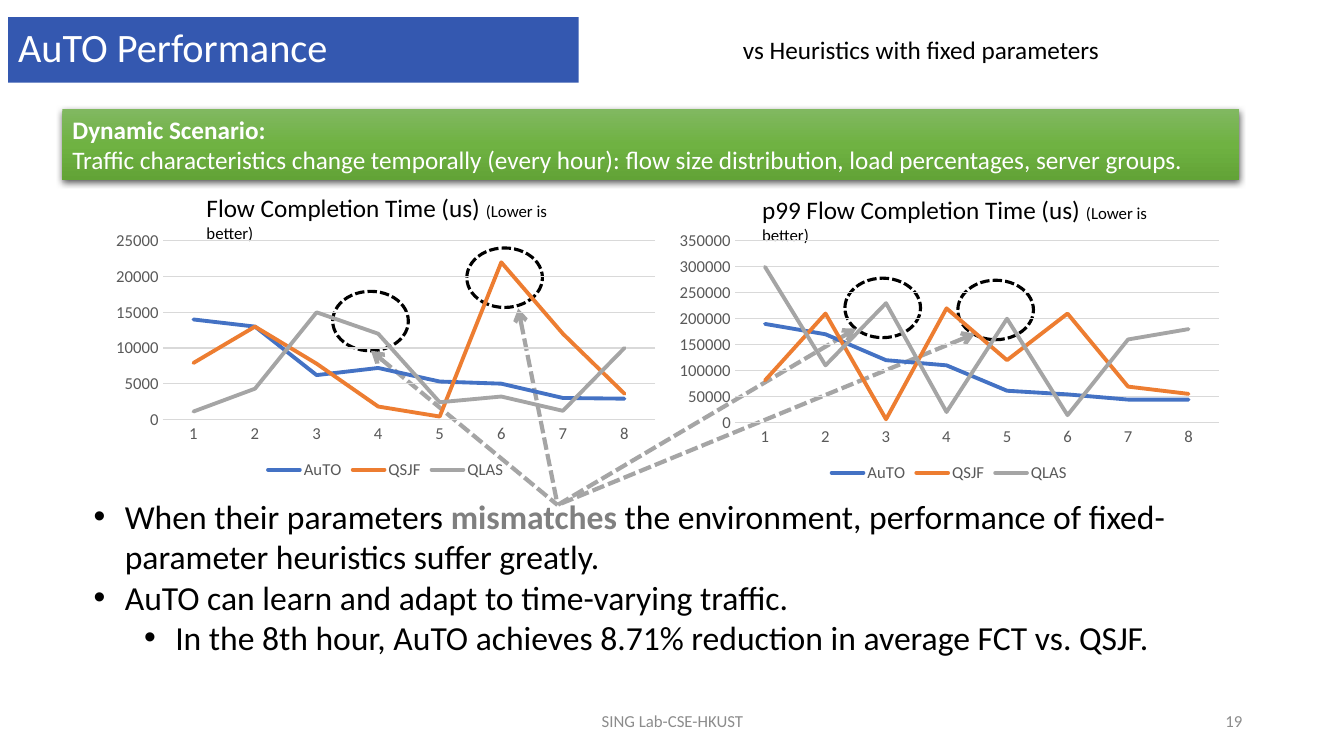
from copy import deepcopy
from lxml.etree import SubElement
from pptx import Presentation
from pptx.chart.data import CategoryChartData
from pptx.dml.color import RGBColor
from pptx.enum.chart import XL_CHART_TYPE, XL_LEGEND_POSITION, XL_TICK_MARK
from pptx.enum.dml import MSO_LINE
from pptx.enum.shapes import MSO_CONNECTOR, MSO_SHAPE
from pptx.enum.text import MSO_ANCHOR, MSO_AUTO_SIZE, PP_ALIGN
from pptx.oxml.ns import qn
from pptx.util import Inches, Pt

WHITE = RGBColor(0xFF, 0xFF, 0xFF)
BLACK = RGBColor(0x00, 0x00, 0x00)
TITLE_BLUE = RGBColor(0x34, 0x58, 0xB0)
FOOTER_GRAY = RGBColor(0x8C, 0x8C, 0x8C)
EMPHASIS_GRAY = RGBColor(0x80, 0x80, 0x80)
AXIS_TEXT = RGBColor(0x59, 0x59, 0x59)
GRID_GRAY = RGBColor(0xD9, 0xD9, 0xD9)
ARROW_GRAY = RGBColor(0xA5, 0xA5, 0xA5)
GREEN_TOP = RGBColor(0x81, 0xB8, 0x61)
GREEN_MIDDLE = RGBColor(0x6F, 0xB2, 0x42)
GREEN_BOTTOM = RGBColor(0x62, 0xA3, 0x36)
SERIES_COLORS = {
    "AuTO": RGBColor(0x44, 0x72, 0xC4),
    "QSJF": RGBColor(0xED, 0x7D, 0x31),
    "QLAS": ARROW_GRAY,
}

prs = Presentation()
prs.slide_width, prs.slide_height = Inches(13.33), Inches(7.5)
slide = prs.slides.add_slide(prs.slide_layouts[5])
shapes = slide.shapes


def add_run(paragraph, text, size, color, bold=False):
    run = paragraph.add_run()
    run.text = text
    run.font.name = "Calibri"
    run.font.size = Pt(size)
    run.font.bold = bold
    run.font.color.rgb = color


def add_text_frame(left, top, width, height):
    frame = shapes.add_textbox(Inches(left), Inches(top), Inches(width), Inches(height)).text_frame
    frame.word_wrap = True
    return frame


# Title
title = shapes.title
title.left, title.top, title.width, title.height = Inches(0.08), Inches(0.17), Inches(5.66), Inches(0.65)
title.fill.solid()
title.fill.fore_color.rgb = TITLE_BLUE
title.text_frame.vertical_anchor = MSO_ANCHOR.MIDDLE
title.text_frame.auto_size = MSO_AUTO_SIZE.NONE
heading = title.text_frame.paragraphs[0]
heading.alignment = PP_ALIGN.LEFT
heading.line_spacing = 0.9
add_run(heading, "AuTO Performance", 28.8, WHITE)

# Footer and page number
for left, width, text, alignment in [
    (4.42, 4.5, "SING Lab-CSE-HKUST", PP_ALIGN.CENTER),
    (9.42, 3, "19", PP_ALIGN.RIGHT),
]:
    footer = add_text_frame(left, 6.95, width, 0.4)
    footer.vertical_anchor = MSO_ANCHOR.MIDDLE
    footer.paragraphs[0].alignment = alignment
    add_run(footer.paragraphs[0], text, 12, FOOTER_GRAY)

# Scenario banner: three-stop green gradient with a soft shadow below
banner = shapes.add_shape(MSO_SHAPE.RECTANGLE, Inches(0.62), Inches(1.08), Inches(11.67), Inches(0.71))
banner.fill.gradient()
banner.fill.gradient_angle = 270
first_stop = banner.fill.gradient_stops[0]._gs
first_stop.addnext(deepcopy(first_stop))
for stop, position, color in zip(
    banner.fill.gradient_stops, (0, 0.5, 1), (GREEN_TOP, GREEN_MIDDLE, GREEN_BOTTOM)
):
    stop.position = position
    stop.color.rgb = color
banner.line.fill.background()
banner.shadow.inherit = False
effects = banner._element.spPr.find(qn("a:effectLst"))
shadow = SubElement(effects, qn("a:outerShdw"), blurRad="57150", dist="19050", dir="5400000", rotWithShape="0")
shadow_color = SubElement(shadow, qn("a:srgbClr"), val="000000")
SubElement(shadow_color, qn("a:alpha"), val="63000")
scenario = banner.text_frame
scenario.word_wrap = True
scenario.vertical_anchor = MSO_ANCHOR.TOP
scenario_name, scenario_detail = scenario.paragraphs[0], scenario.add_paragraph()
add_run(scenario_name, "Dynamic Scenario:", 18, WHITE, bold=True)
add_run(
    scenario_detail,
    "Traffic characteristics change temporally (every hour): "
    "flow size distribution, load percentages, server groups.",
    18, WHITE,
)
for paragraph in scenario.paragraphs:
    paragraph.alignment = PP_ALIGN.LEFT

# Findings
findings = add_text_frame(0.83, 4.87, 11.68, 1.72)
for index, (level, runs) in enumerate([
    (0, [
        ("When their parameters ", BLACK, False),
        ("mismatches", EMPHASIS_GRAY, True),
        (" the environment, performance of fixed-parameter heuristics suffer greatly.", BLACK, False),
    ]),
    (0, [("AuTO can learn and adapt to time-varying traffic.", BLACK, False)]),
    (1, [("In the 8th hour, AuTO achieves 8.71% reduction in average FCT vs. QSJF.", BLACK, False)]),
]):
    finding = findings.add_paragraph() if index else findings.paragraphs[0]
    finding.level = level
    properties = finding._p.get_or_add_pPr()
    properties.set("marL", str(Inches(0.31 + 0.5 * level)))
    properties.set("indent", str(Inches(-0.31)))
    SubElement(properties, qn("a:buFont"), typeface="Arial")
    SubElement(properties, qn("a:buChar"), char="•")
    for text, color, bold in runs:
        add_run(finding, text, 24, color, bold)

# Comparison note and chart headings
note = add_text_frame(7.27, 0.29, 3.82, 0.4)
add_run(note.paragraphs[0], "vs Heuristics with fixed parameters", 18, BLACK)
for left, top, width, metric in [
    (1.95, 1.86, 3.93, "Flow Completion Time (us) "),
    (7.46, 1.88, 4.42, "p99 Flow Completion Time (us) "),
]:
    chart_heading = add_text_frame(left, top, width, 0.4).paragraphs[0]
    add_run(chart_heading, metric, 18, BLACK)
    add_run(chart_heading, "(Lower is better)", 12, BLACK)

# Circled peaks, each with an arrow from the word "mismatches"
for left, top, tip_x, tip_y in [
    (3.3, 2.89, 3.68, 3.48),
    (4.63, 2.46, 5.14, 3.06),
    (9.5, 2.78, 9.67, 3.31),
    (8.38, 2.76, 8.49, 3.26),
]:
    peak = shapes.add_shape(MSO_SHAPE.OVAL, Inches(left), Inches(top), Inches(0.75), Inches(0.59))
    peak.shadow.inherit = False
    peak.fill.background()
    peak.line.color.rgb = BLACK
    peak.line.width = Pt(2.25)
    peak.line.dash_style = MSO_LINE.SQUARE_DOT
    arrow = shapes.add_connector(
        MSO_CONNECTOR.STRAIGHT, Inches(tip_x), Inches(tip_y), Inches(5.53), Inches(5.01)
    )
    arrow.line.color.rgb = ARROW_GRAY
    arrow.line.width = Pt(3)
    arrow.line.dash_style = MSO_LINE.SQUARE_DOT
    SubElement(arrow.line._get_or_add_ln(), qn("a:headEnd"), type="arrow")
    SubElement(arrow._element.spPr, qn("a:effectLst"))

# Line charts: average and 99th percentile by hour
for left, height, maximum, step, series_values in [
    (1.04, 2.56, 25000, 5000, {
        "AuTO": (14000, 13000, 6200, 7200, 5300, 5000, 3000, 2900),
        "QSJF": (7900, 13000, 7800, 1800, 400, 22000, 12000, 3600),
        "QLAS": (1100, 4300, 15000, 12000, 2400, 3200, 1200, 10000),
    }),
    (6.63, 2.59, 350000, 50000, {
        "AuTO": (190000, 170000, 120000, 110000, 61000, 54000, 44000, 44000),
        "QSJF": (81000, 210000, 6000, 220000, 120000, 210000, 69000, 55000),
        "QLAS": (300000, 110000, 230000, 20000, 200000, 14000, 160000, 180000),
    }),
]:
    hourly = CategoryChartData()
    hourly.categories = [str(hour) for hour in range(1, 9)]
    for name, values in series_values.items():
        hourly.add_series(name, values)
    chart = shapes.add_chart(
        XL_CHART_TYPE.LINE, Inches(left), Inches(2.24), Inches(5.57), Inches(height), hourly
    ).chart
    chart.has_title = False
    chart.font.name = "Calibri"
    chart.font.size = Pt(11.9)
    chart.font.color.rgb = AXIS_TEXT
    chart.has_legend = True
    chart.legend.position = XL_LEGEND_POSITION.BOTTOM
    chart.legend.include_in_layout = False

    # Clear background, so the circles behind stay visible
    background = SubElement(chart._chartSpace, qn("c:spPr"))
    SubElement(background, qn("a:noFill"))
    SubElement(SubElement(background, qn("a:ln")), qn("a:noFill"))
    chart._chartSpace.find(qn("c:chart")).addnext(background)

    hours, times = chart.category_axis, chart.value_axis
    for axis in (hours, times):
        axis.major_tick_mark = axis.minor_tick_mark = XL_TICK_MARK.NONE
    hours.format.line.color.rgb = GRID_GRAY
    hours.format.line.width = Pt(1)
    times.minimum_scale, times.maximum_scale, times.major_unit = 0, maximum, step
    times.format.line.fill.background()
    times.major_gridlines.format.line.color.rgb = GRID_GRAY
    times.major_gridlines.format.line.width = Pt(0.75)

    chart.plots[0].vary_by_categories = False
    for series in chart.plots[0].series:
        series.smooth = False
        series.format.line.color.rgb = SERIES_COLORS[series.name]
        series.format.line.width = Pt(2.75)
        series.format.line._get_or_add_ln().set("cap", "rnd")

prs.save("out.pptx")
